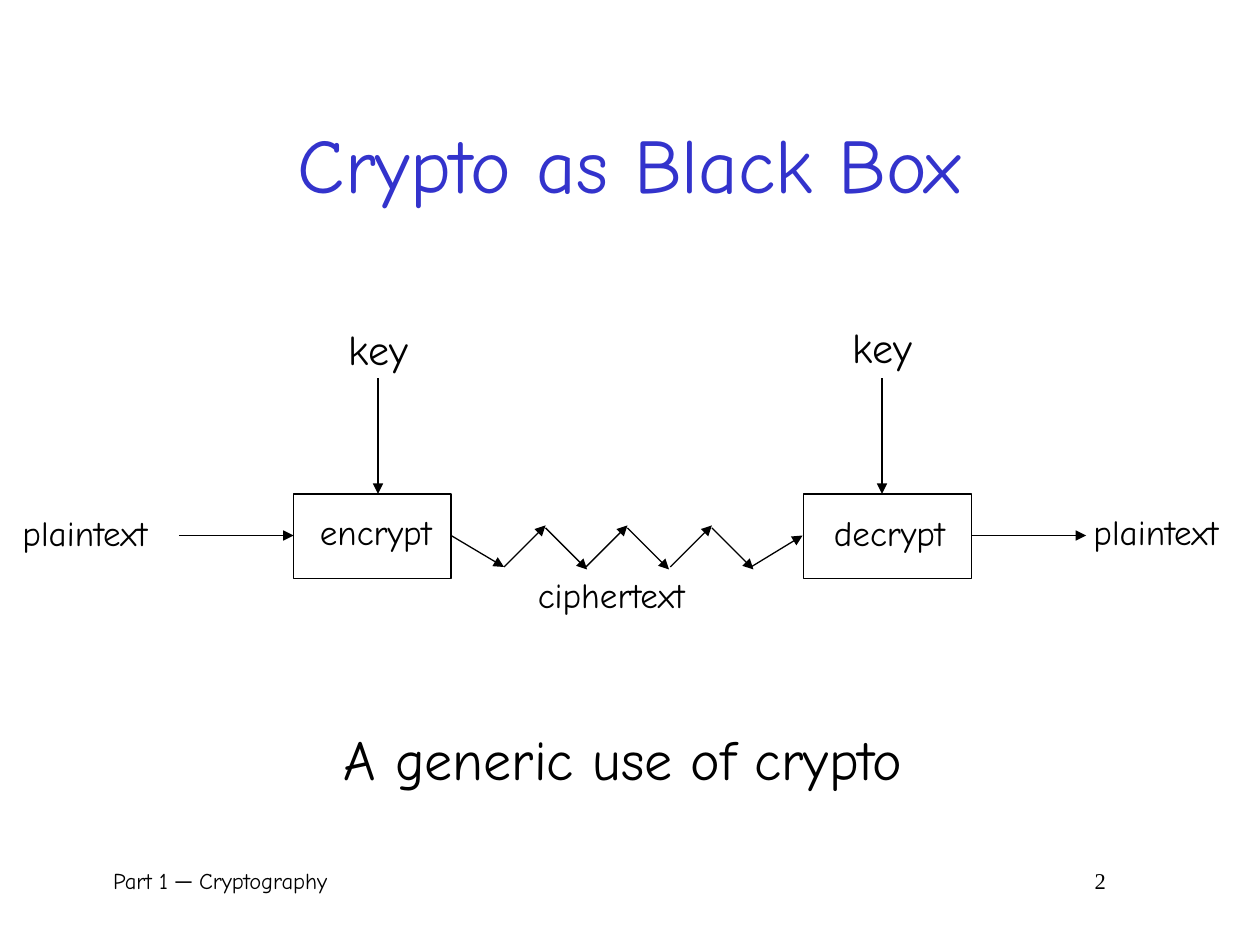
from lxml import etree
from pptx import Presentation
from pptx.dml.color import RGBColor
from pptx.enum.shapes import MSO_CONNECTOR, MSO_SHAPE
from pptx.enum.text import MSO_ANCHOR, MSO_AUTO_SIZE, PP_ALIGN
from pptx.oxml.ns import qn
from pptx.util import Inches, Pt

RECT = MSO_SHAPE.RECTANGLE
STRAIGHT = MSO_CONNECTOR.STRAIGHT
MIDDLE = MSO_ANCHOR.MIDDLE
NO_FIT = MSO_AUTO_SIZE.NONE
CENTER = PP_ALIGN.CENTER

COLORS = {"title": "3333CC", "ink": "000000"}
FONT = "Comic Neue"


class Deck:
    def __init__(self, prs):
        self.s = prs.slides.add_slide(prs.slide_layouts[5])

    def color(self, name):
        return RGBColor.from_string(COLORS[name])

    def run(self, p, text, size, font=FONT, color="ink"):
        r = p.add_run()
        r.text = text
        r.font.size = Pt(size)
        r.font.name = font
        r.font.color.rgb = self.color(color)

    def title(self, text, x, y, w, h):
        sp = self.s.shapes.title
        sp.left, sp.top, sp.width, sp.height = map(Inches, (x, y, w, h))
        tf = sp.text_frame
        tf.auto_size = NO_FIT
        tf.vertical_anchor = MIDDLE
        p = tf.paragraphs[0]
        p.alignment = CENTER
        self.run(p, text, 44, color="title")

    def label(self, text, x, y, w, h=0.44, size=20, wrap=True):
        sp = self.s.shapes.add_textbox(*map(Inches, (x, y, w, h)))
        sp.text_frame.word_wrap = wrap
        self.run(sp.text_frame.paragraphs[0], text, size)

    def footer(self, runs, x, y, w, h, tab):
        sp = self.s.shapes.add_textbox(*map(Inches, (x, y, w, h)))
        tf = sp.text_frame
        tf.word_wrap = True
        p = tf.paragraphs[0]
        tabs = etree.SubElement(p._p.get_or_add_pPr(), qn("a:tabLst"))
        etree.SubElement(tabs, qn("a:tab"), pos=str(Inches(tab)), algn="l")
        for text, font in runs:
            self.run(p, text, 12.9, font)

    def box(self, x, y, w, h):
        sp = self.s.shapes.add_shape(RECT, *map(Inches, (x, y, w, h)))
        sp.shadow.inherit = False
        sp.fill.background()
        sp.line.color.rgb = self.color("ink")
        sp.line.width = Pt(0.75)

    def arrow(self, x1, y1, x2, y2):
        line = self.s.shapes.add_connector(STRAIGHT, *map(Inches, (x1, y1, x2, y2)))
        line.line.color.rgb = self.color("ink")
        line.line.width = Pt(0.75)
        etree.SubElement(line.line._get_or_add_ln(), qn("a:tailEnd"), type="triangle")
        etree.SubElement(line._element.spPr, qn("a:effectLst"))


def main():
    prs = Presentation()
    prs.slide_width, prs.slide_height = Inches(10), Inches(7.5)
    deck = Deck(prs)

    deck.title("Crypto as Black Box", 0.75, 0.67, 8.5, 1.25)

    deck.box(2.33, 3.92, 1.25, 0.67)
    deck.box(6.38, 3.92, 1.33, 0.67)
    deck.label("encrypt", 2.44, 4, 1.09, wrap=False)
    deck.label("decrypt", 6.52, 4.01, 1.08, wrap=False)

    deck.label("plaintext", 0.08, 4.01, 1.42)
    deck.label("plaintext", 8.58, 4, 1.42)
    deck.label("ciphertext", 4.17, 4.5, 1.67)
    deck.label("key", 2.67, 2.52, 0.9, 0.5, size=24)
    deck.label("key", 6.67, 2.5, 0.92, 0.5, size=24)
    deck.label("A generic use of crypto", 2.63, 5.7, 4.65, 0.64, size=32, wrap=False)

    for x in (1.42, 7.71):
        deck.arrow(x, 4.25, x + 0.91, 4.25)
    for x in (3, 7):
        deck.arrow(x, 3, x, 3.92)

    deck.arrow(3.58, 4.25, 4, 4.5)
    for x in (4, 4.65, 5.32):
        deck.arrow(x, 4.5, x + 0.33, 4.17)
        deck.arrow(x + 0.33, 4.19, x + 0.66, 4.52)
    deck.arrow(5.96, 4.5, 6.37, 4.25)

    footer_runs = [("Part 1 ", FONT), ("─", "Arial"), (" Cryptography\t", FONT), ("2", "Times New Roman")]
    deck.footer(footer_runs, 0.8, 6.83, 8.53, 0.5, tab=7.79)

    prs.save("out.pptx")


if __name__ == "__main__":
    main()
